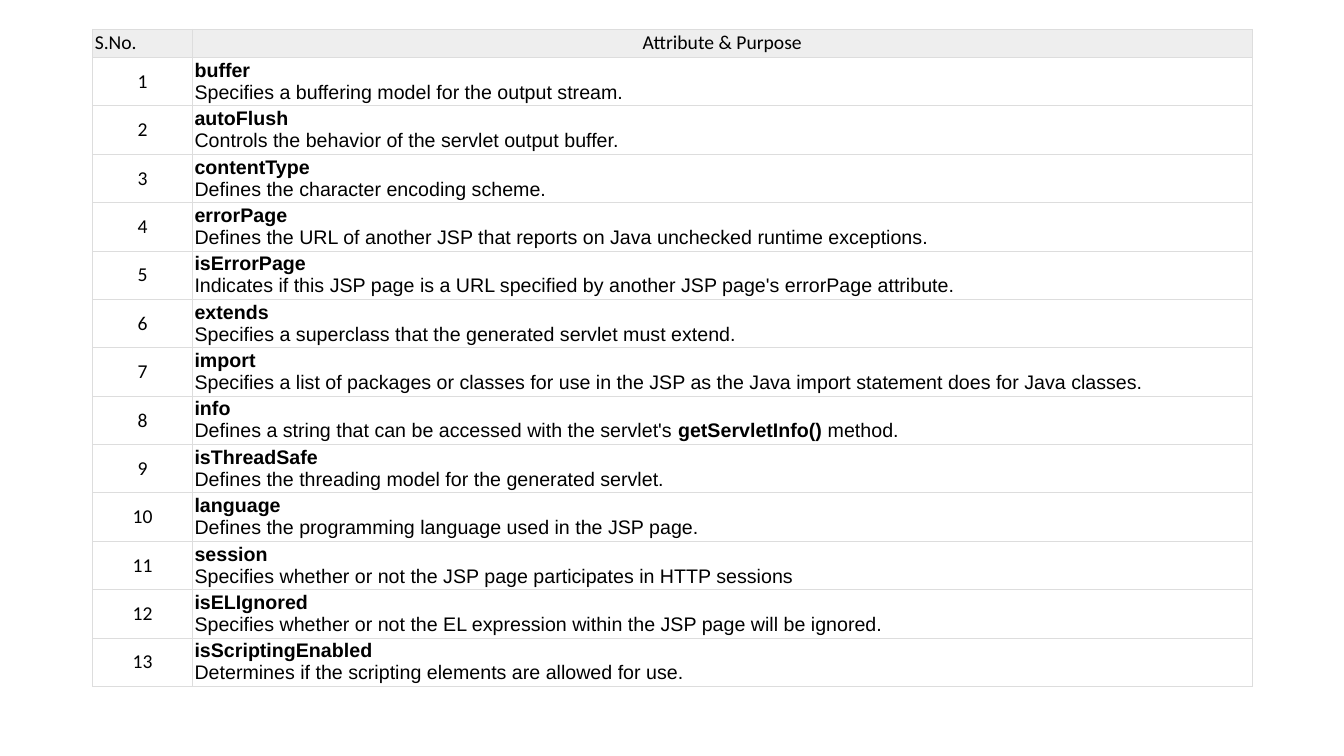
from lxml import etree
from pptx import Presentation
from pptx.dml.color import RGBColor
from pptx.enum.text import MSO_ANCHOR, PP_ALIGN
from pptx.oxml.ns import qn
from pptx.util import Inches, Pt

LEFT, CENTER, JUSTIFY = PP_ALIGN.LEFT, PP_ALIGN.CENTER, PP_ALIGN.JUSTIFY
TOP, MIDDLE = MSO_ANCHOR.TOP, MSO_ANCHOR.MIDDLE

TEXT, HEADER_FILL, BORDER = "000000", "EEEEEE", "DDDDDD"
HEADER_H, ROW_H = 0.28, 0.48
NUMBER_W = 0.99

HEADERS = [("S.No.", LEFT), ("Attribute & Purpose", CENTER)]

# Attribute and purpose; text between ** marks is bold
ATTRIBUTES = [
    ("buffer", "Specifies a buffering model for the output stream."),
    ("autoFlush", "Controls the behavior of the servlet output buffer."),
    ("contentType", "Defines the character encoding scheme."),
    ("errorPage", "Defines the URL of another JSP that reports on Java "
                  "unchecked runtime exceptions."),
    ("isErrorPage", "Indicates if this JSP page is a URL specified by another "
                    "JSP page's errorPage attribute."),
    ("extends", "Specifies a superclass that the generated servlet must extend."),
    ("import", "Specifies a list of packages or classes for use in the JSP as "
               "the Java import statement does for Java classes."),
    ("info", "Defines a string that can be accessed with the servlet's "
             "**getServletInfo()** method."),
    ("isThreadSafe", "Defines the threading model for the generated servlet."),
    ("language", "Defines the programming language used in the JSP page."),
    ("session", "Specifies whether or not the JSP page participates in HTTP sessions"),
    ("isELIgnored", "Specifies whether or not the EL expression within the JSP "
                    "page will be ignored."),
    ("isScriptingEnabled", "Determines if the scripting elements are allowed for use."),
]


def color(value):
    return RGBColor.from_string(value)


def set_borders(cell):
    tcPr = cell._tc.get_or_add_tcPr()
    for side in ("a:lnL", "a:lnR", "a:lnT", "a:lnB"):
        ln = etree.SubElement(tcPr, qn(side), w=str(Pt(0.6)))
        fill = etree.SubElement(ln, qn("a:solidFill"))
        etree.SubElement(fill, qn("a:srgbClr"), val=BORDER)


def write_cell(cell, lines, font, align, anchor=TOP, fill=None):
    set_borders(cell)
    if fill:
        cell.fill.solid()
        cell.fill.fore_color.rgb = color(fill)
    else:
        cell.fill.background()
    cell.margin_left = cell.margin_right = Inches(0.02)
    cell.margin_top = cell.margin_bottom = Inches(0.02)
    cell.vertical_anchor = anchor

    tf = cell.text_frame
    for i, line in enumerate(lines):
        p = tf.paragraphs[0] if i == 0 else tf.add_paragraph()
        p.alignment = align
        for j, part in enumerate(line.split("**")):
            if not part:
                continue
            r = p.add_run()
            r.text = part
            r.font.name = font
            r.font.size = Pt(14)
            r.font.bold = j % 2 == 1
            r.font.color.rgb = color(TEXT)


def add_attribute_table(s, left, top, width):
    height = HEADER_H + ROW_H * len(ATTRIBUTES)
    table = s.shapes.add_table(len(ATTRIBUTES) + 1, 2, Inches(left), Inches(top),
                               Inches(width), Inches(height)).table
    table.first_row = table.horz_banding = False
    table.columns[0].width = Inches(NUMBER_W)
    table.columns[1].width = Inches(width - NUMBER_W)

    # Header row
    table.rows[0].height = Inches(HEADER_H)
    for col, (label, align) in enumerate(HEADERS):
        write_cell(table.cell(0, col), [label], "Calibri", align, fill=HEADER_FILL)

    # Numbered attributes
    for row, (name, purpose) in enumerate(ATTRIBUTES, start=1):
        table.rows[row].height = Inches(ROW_H)
        write_cell(table.cell(row, 0), [str(row)], "Calibri", CENTER, MIDDLE)
        write_cell(table.cell(row, 1), [f"**{name}**", purpose], "Arial", JUSTIFY)


def main():
    prs = Presentation()
    prs.slide_width, prs.slide_height = Inches(13.33), Inches(7.5)
    s = prs.slides.add_slide(prs.slide_layouts[6])
    add_attribute_table(s, 0.92, 0.29, 11.5)
    prs.save("out.pptx")


if __name__ == "__main__":
    main()
